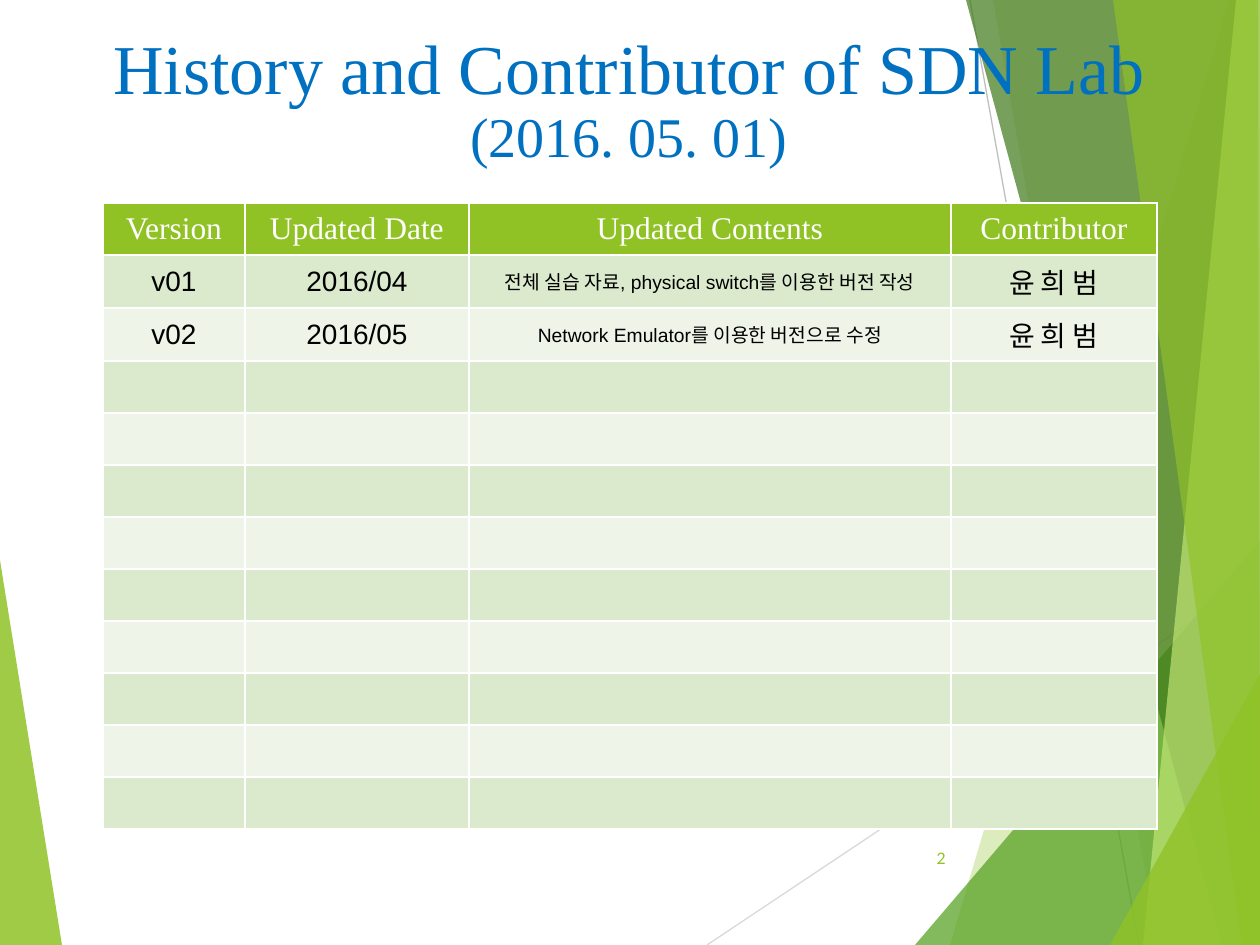
from lxml import etree
from pptx import Presentation
from pptx.dml.color import RGBColor
from pptx.enum import shapes, text
from pptx.oxml.ns import qn
from pptx.util import Pt

WIDTH, HEIGHT = 1260, 945
WHITE = RGBColor(0xFF, 0xFF, 0xFF)
BLACK = RGBColor(0, 0, 0)
BLUE = RGBColor(0x00, 0x70, 0xC0)
LIME = RGBColor(0x90, 0xC2, 0x26)
GREEN = RGBColor(0x54, 0xA0, 0x21)
DARK_GREEN = RGBColor(0x3F, 0x78, 0x19)
PALE_LIME = RGBColor(0xC0, 0xE4, 0x74)
LIGHT_GRAY = RGBColor(0xD9, 0xD9, 0xD9)
GRAY = RGBColor(0xBF, 0xBF, 0xBF)
BANDS = RGBColor(0xDB, 0xE9, 0xCD), RGBColor(0xEE, 0xF4, 0xE8)

SERIF, SANS, NUMBER_FONT = "Times New Roman", "Arial", "Lato"

LEFT_FACET = [(0, 560), (62, HEIGHT), (0, HEIGHT)], LIME, 85
RIGHT_FACETS = [
    ([(1229, 0), (950, HEIGHT), (WIDTH, HEIGHT), (WIDTH, 0)], LIME, 30),
    ([(993, 0), (1158, HEIGHT), (WIDTH, HEIGHT), (WIDTH, 0)], LIME, 20),
    ([(915, HEIGHT), (WIDTH, 541), (WIDTH, HEIGHT)], GREEN, 72),
    ([(966, 0), (1222, HEIGHT), (WIDTH, HEIGHT), (WIDTH, 0)], DARK_GREEN, 70),
    ([(1236, 0), (1143, HEIGHT), (WIDTH, HEIGHT), (WIDTH, 0)], PALE_LIME, 70),
    ([(1113, 0), (1242, HEIGHT), (WIDTH, HEIGHT), (1258, 0)], LIME, 65),
    ([(1110, HEIGHT), (WIDTH, 674), (WIDTH, HEIGHT)], LIME, 80),
]

HEADERS = ["Version", "Updated Date", "Updated Contents", "Contributor"]
VERSIONS = [
    ["v01", "2016/04", "전체 실습 자료, physical switch를 이용한 버전 작성", "윤 희 범"],
    ["v02", "2016/05", "Network Emulator를 이용한 버전으로 수정", "윤 희 범"],
]
COLUMN_WIDTHS = [142, 224, 482, 206]
COLUMN_SIZES = [16, 16, 11, 16]
ROW_COUNT, ROW_HEIGHT = 12, 52


def px(length):
    return round(length * 914400 / 126)


class SlideBuilder:
    def __init__(self, presentation):
        self.slide = presentation.slides.add_slide(presentation.slide_layouts[5])

    def style(self, paragraph, content, size, font, color, align=text.PP_ALIGN.CENTER):
        paragraph.text = content
        paragraph.alignment = align
        paragraph.font.size = Pt(size)
        paragraph.font.name = font
        paragraph.font.color.rgb = color

    def facet(self, points, color, opacity):
        corners = [(px(x), px(y)) for x, y in points]
        builder = self.slide.shapes.build_freeform(*corners[0])
        builder.add_line_segments(corners[1:], close=True)
        shape = builder.convert_to_shape()
        shape.shadow.inherit = False
        shape.fill.solid()
        shape.fill.fore_color.rgb = color
        fill_color = shape._element.spPr.find(".//" + qn("a:srgbClr"))
        etree.SubElement(fill_color, qn("a:alpha"), val=str(opacity * 1000))
        shape.line.fill.background()

    def line(self, start, end, color):
        connector = self.slide.shapes.add_connector(
            shapes.MSO_CONNECTOR.STRAIGHT, *map(px, start + end))
        connector.line.color.rgb = color
        connector.line.width = Pt(0.75)
        etree.SubElement(connector._element.spPr, qn("a:effectLst"))

    def title(self, left, top, width, height, lines):
        title = self.slide.shapes.title
        title.left, title.top, title.width, title.height = map(px, (left, top, width, height))
        frame = title.text_frame
        frame.auto_size = text.MSO_AUTO_SIZE.NONE
        frame.vertical_anchor = text.MSO_ANCHOR.MIDDLE
        for index, (content, size) in enumerate(lines):
            paragraph = frame.add_paragraph() if index else frame.paragraphs[0]
            self.style(paragraph, content, size, SERIF, BLUE)
            paragraph.line_spacing = 0.9
            paragraph.space_before = Pt(0)
        tree = self.slide.shapes._spTree
        tree.append(title._element)

    def cell(self, cell, fill):
        properties = cell._tc.get_or_add_tcPr()
        for side in ("lnL", "lnR", "lnT", "lnB"):
            border = etree.SubElement(properties, qn("a:" + side), w=str(Pt(1)))
            solid = etree.SubElement(border, qn("a:solidFill"))
            etree.SubElement(solid, qn("a:srgbClr"), val=str(WHITE))
        cell.fill.solid()
        cell.fill.fore_color.rgb = fill
        cell.vertical_anchor = text.MSO_ANCHOR.MIDDLE

    def table(self, left, top):
        table = self.slide.shapes.add_table(
            ROW_COUNT, len(HEADERS), px(left), px(top),
            px(sum(COLUMN_WIDTHS)), px(ROW_COUNT * ROW_HEIGHT)).table
        for column, width in zip(table.columns, COLUMN_WIDTHS):
            column.width = px(width)
        for index, row in enumerate(table.rows):
            row.height = px(ROW_HEIGHT)
            for cell in row.cells:
                self.cell(cell, BANDS[(index - 1) % 2] if index else LIME)
        for cell, header in zip(table.rows[0].cells, HEADERS):
            self.style(cell.text_frame.paragraphs[0], header, 18, SERIF, WHITE)
        for index, version in enumerate(VERSIONS, 1):
            for cell, content, size in zip(table.rows[index].cells, version, COLUMN_SIZES):
                self.style(cell.text_frame.paragraphs[0], content, size, SANS, BLACK)

    def slide_number(self, left, top, width, height, number):
        box = self.slide.shapes.add_textbox(*map(px, (left, top, width, height)))
        frame = box.text_frame
        frame.word_wrap = True
        frame.vertical_anchor = text.MSO_ANCHOR.MIDDLE
        self.style(frame.paragraphs[0], number, 9, NUMBER_FONT, LIME, text.PP_ALIGN.RIGHT)


def main():
    presentation = Presentation()
    presentation.slide_width, presentation.slide_height = px(WIDTH), px(HEIGHT)
    builder = SlideBuilder(presentation)
    builder.facet(*LEFT_FACET)
    builder.line((707, HEIGHT), (WIDTH, 576), LIGHT_GRAY)
    builder.line((970, 0), (1139, HEIGHT), GRAY)
    for facet in RIGHT_FACETS:
        builder.facet(*facet)
    builder.title(55, 44, 1148, 116,
                  [("History and Contributor of SDN Lab", 40), ("(2016. 05. 01)", 32)])
    builder.table(103, 203)
    builder.slide_number(888, 833, 70, 50, "2")
    presentation.save("out.pptx")


if __name__ == "__main__":
    main()
